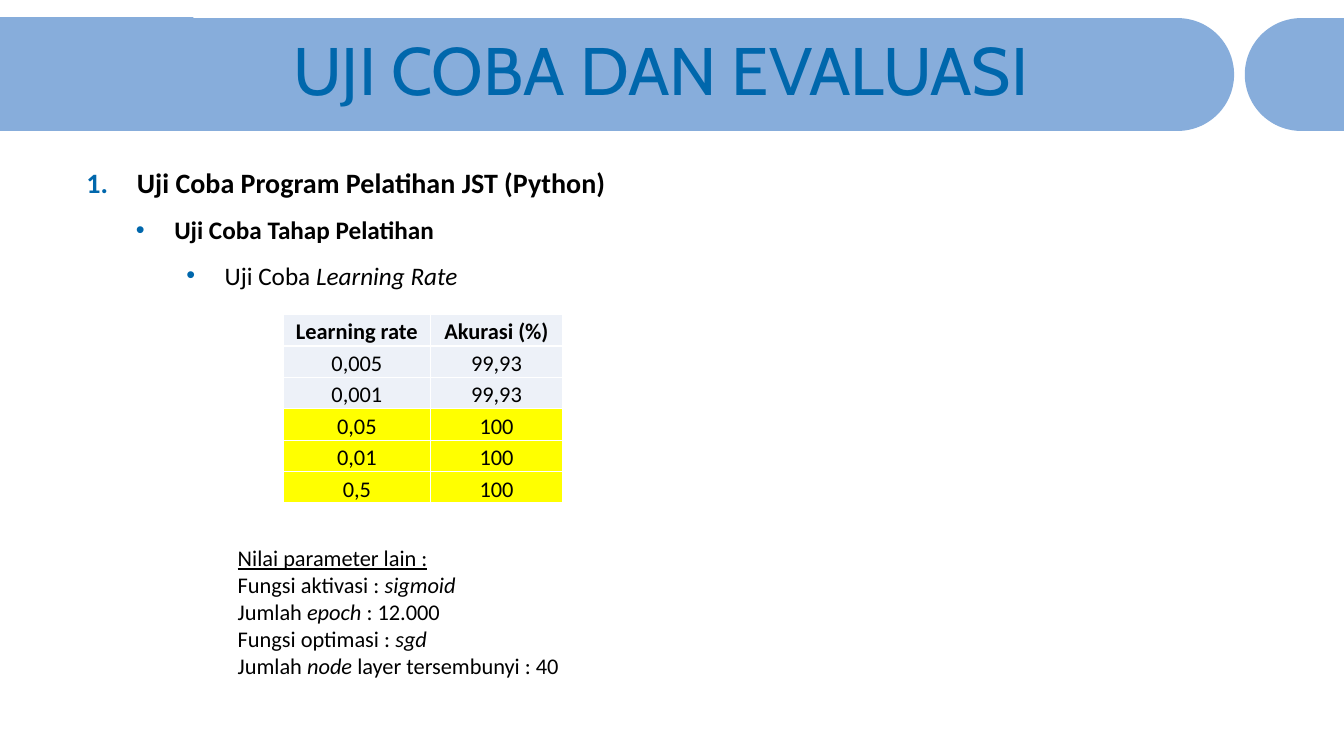
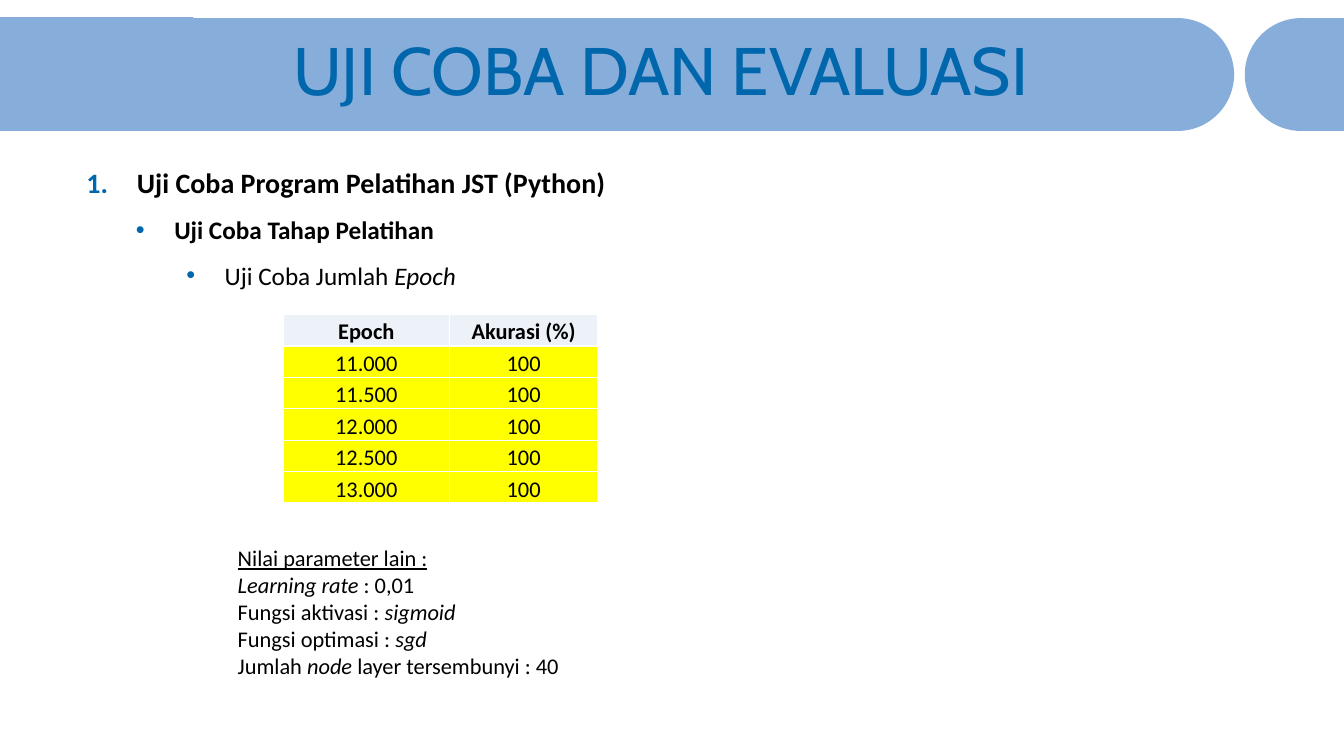
from math import cos, radians, sin

from lxml.etree import SubElement
from pptx import Presentation
from pptx.dml.color import RGBColor
from pptx.enum.shapes import MSO_SHAPE
from pptx.enum.text import MSO_ANCHOR, MSO_AUTO_SIZE, PP_ALIGN
from pptx.oxml import parse_xml
from pptx.oxml.ns import nsdecls, qn
from pptx.util import Inches, Pt

W, H = Inches(13.33), Inches(7.5)
COLORS = {"band": "87ADDB", "accent": "0067AC", "text": "000000",
          "cell": "EDF1F8", "best": "FFFF00", "border": "FFFFFF"}
TITLE_FONT, BODY_FONT = "Cabin", "Calibri"
TITLE = "UJI COBA DAN EVALUASI"
BAND_TOP, BAND_HEIGHT = 2.4, 14.93
CONTENT_LEFT = 21.08
BEST_SCORE = "100"

EXPERIMENTS = [
    {"topic": "Uji Coba *Learning Rate*",
     "widths": (10.95, 9.83),
     "rows": [("Learning rate", "Akurasi (%)"), ("0,005", "99,93"),
              ("0,001", "99,93"), ("0,05", "100"), ("0,01", "100"),
              ("0,5", "100")],
     "parameters": ["Fungsi aktivasi : *sigmoid*", "Jumlah *epoch* : 12.000",
                    "Fungsi optimasi : *sgd*",
                    "Jumlah *node* layer tersembunyi : 40"]},
    {"topic": "Uji Coba Jumlah *Epoch*",
     "widths": (12.35, 11.07),
     "rows": [("Epoch", "Akurasi (%)"), ("11.000", "100"), ("11.500", "100"),
              ("12.000", "100"), ("12.500", "100"), ("13.000", "100")],
     "parameters": ["*Learning rate* : 0,01", "Fungsi aktivasi : *sigmoid*",
                    "Fungsi optimasi : *sgd*",
                    "Jumlah *node* layer tersembunyi : 40"]},
]


def col(n):
    """Width of n hundredths of the slide."""
    return round(W * n / 100)


def row(n):
    """Height of n hundredths of the slide."""
    return round(H * n / 100)


def rgb(name):
    return RGBColor.from_string(COLORS[name])


def write(p, text, size=16, font=BODY_FONT, color="text", bold=False,
          underline=False, align=None, spacing=None):
    """Write text into a paragraph; parts between asterisks are italic."""
    p.alignment = align
    p.line_spacing = spacing
    for i, part in enumerate(text.split("*")):
        if not part:
            continue
        r = p.add_run()
        r.text = part
        f = r.font
        f.size, f.name, f.bold = Pt(size), font, bold
        f.italic, f.underline = i % 2 == 1, underline
        f.color.rgb = rgb(color)


def add_bullet(p, indent, hanging, char=None):
    """Give a paragraph a bullet character, or a number if there is none."""
    pPr = p._p.get_or_add_pPr()
    pPr.set("marL", str(col(indent)))
    pPr.set("indent", str(-col(hanging)))
    color = SubElement(pPr, qn("a:buClr"))
    SubElement(color, qn("a:srgbClr"), val=COLORS["accent"])
    if char:
        SubElement(pPr, qn("a:buFont"), typeface="Arial")
        SubElement(pPr, qn("a:buChar"), char=char)
    else:
        SubElement(pPr, qn("a:buAutoNum"), type="arabicPeriod")


def add_textbox(s, left, top, width, height):
    tf = s.shapes.add_textbox(col(left), row(top), col(width),
                              row(height)).text_frame
    tf.word_wrap = True
    return tf


def next_paragraph(tf, i):
    return tf.add_paragraph() if i else tf.paragraphs[0]


def paint_band(sp):
    sp.shadow.inherit = False
    sp.fill.solid()
    sp.fill.fore_color.rgb = rgb("band")
    sp.line.fill.background()
    return sp


def add_band(s, flat, tip):
    """Draw a band with a straight end at flat and a round end at tip."""
    r = row(BAND_HEIGHT) / 2
    side = 1 if tip > flat else -1
    cx, cy = col(tip) - side * r, row(BAND_TOP) + r
    arc = [(round(cx + side * r * cos(radians(a))),
            round(cy + r * sin(radians(a)))) for a in range(-90, 91, 3)]
    outline = s.shapes.build_freeform(col(flat), row(BAND_TOP))
    outline.add_line_segments(arc + [(col(flat), round(cy + r))])
    return paint_band(outline.convert_to_shape())


def add_layout_bands(layout, s):
    """Draw the bands once and move them to the layout, behind its text."""
    cover = s.shapes.add_shape(MSO_SHAPE.RECTANGLE, 0, row(2.27), col(14.4),
                               row(BAND_HEIGHT))
    bands = [add_band(s, 0, 91.82), add_band(s, 100, 92.62),
             paint_band(cover)]
    for i, sp in enumerate(bands):
        layout.shapes.element.insert(2 + i, sp.element)


def set_title(s):
    sp = s.shapes.title
    sp.left, sp.top = col(CONTENT_LEFT), row(4.53)
    sp.width, sp.height = col(78), row(10.53)
    tf = sp.text_frame
    tf.auto_size = MSO_AUTO_SIZE.NONE
    tf.vertical_anchor = MSO_ANCHOR.MIDDLE
    write(tf.paragraphs[0], TITLE, size=48, font=TITLE_FONT, color="accent",
          align=PP_ALIGN.LEFT, spacing=0.9)


def add_outline(s, topic):
    levels = [("Uji Coba Program Pelatihan JST (Python)", 20, True, 3.75, 3.75, None),
              ("Uji Coba Tahap Pelatihan", 18, True, 6.53, 2.85, "•"),
              (topic, 18, False, 10.28, 2.85, "•")]
    tf = add_textbox(s, 5.7, 19.07, 86, 20)
    for i, (text, size, bold, indent, hanging, char) in enumerate(levels):
        p = next_paragraph(tf, i)
        add_bullet(p, indent, hanging, char)
        write(p, text, size=size, bold=bold, spacing=1.5)


def set_borders(cell):
    tcPr = cell._tc.get_or_add_tcPr()
    for i, edge in enumerate(("lnL", "lnR", "lnT", "lnB")):
        tcPr.insert(i, parse_xml(
            f'<a:{edge} {nsdecls("a")} w="12700"><a:solidFill>'
            f'<a:srgbClr val="{COLORS["border"]}"/></a:solidFill></a:{edge}>'))


def add_results(s, rows, widths, row_height=4.16):
    table = s.shapes.add_table(
        len(rows), len(widths), col(CONTENT_LEFT), row(41.6),
        col(sum(widths)), row(row_height * len(rows))).table
    table.horz_banding = False
    for column, width in zip(table.columns, widths):
        column.width = col(width)
    for i, values in enumerate(rows):
        fill = "best" if values[-1] == BEST_SCORE else "cell"
        for j, value in enumerate(values):
            cell = table.cell(i, j)
            cell.vertical_anchor = MSO_ANCHOR.BOTTOM
            cell.margin_left = cell.margin_right = cell.margin_top = Inches(0.01)
            cell.margin_bottom = 0
            cell.fill.solid()
            cell.fill.fore_color.rgb = rgb(fill)
            set_borders(cell)
            write(cell.text_frame.paragraphs[0], value, bold=i == 0,
                  align=PP_ALIGN.CENTER)


def add_parameters(s, parameters):
    tf = add_textbox(s, 16.95, 71.33, 60, 20)
    for i, text in enumerate(["Nilai parameter lain :"] + parameters):
        write(next_paragraph(tf, i), text, underline=i == 0)


def main():
    prs = Presentation()
    prs.slide_width, prs.slide_height = W, H
    layout = prs.slide_layouts[5]
    for i, experiment in enumerate(EXPERIMENTS):
        s = prs.slides.add_slide(layout)
        if i == 0:
            add_layout_bands(layout, s)
        set_title(s)
        add_outline(s, experiment["topic"])
        add_results(s, experiment["rows"], experiment["widths"])
        add_parameters(s, experiment["parameters"])
    prs.save("out.pptx")


if __name__ == "__main__":
    main()
